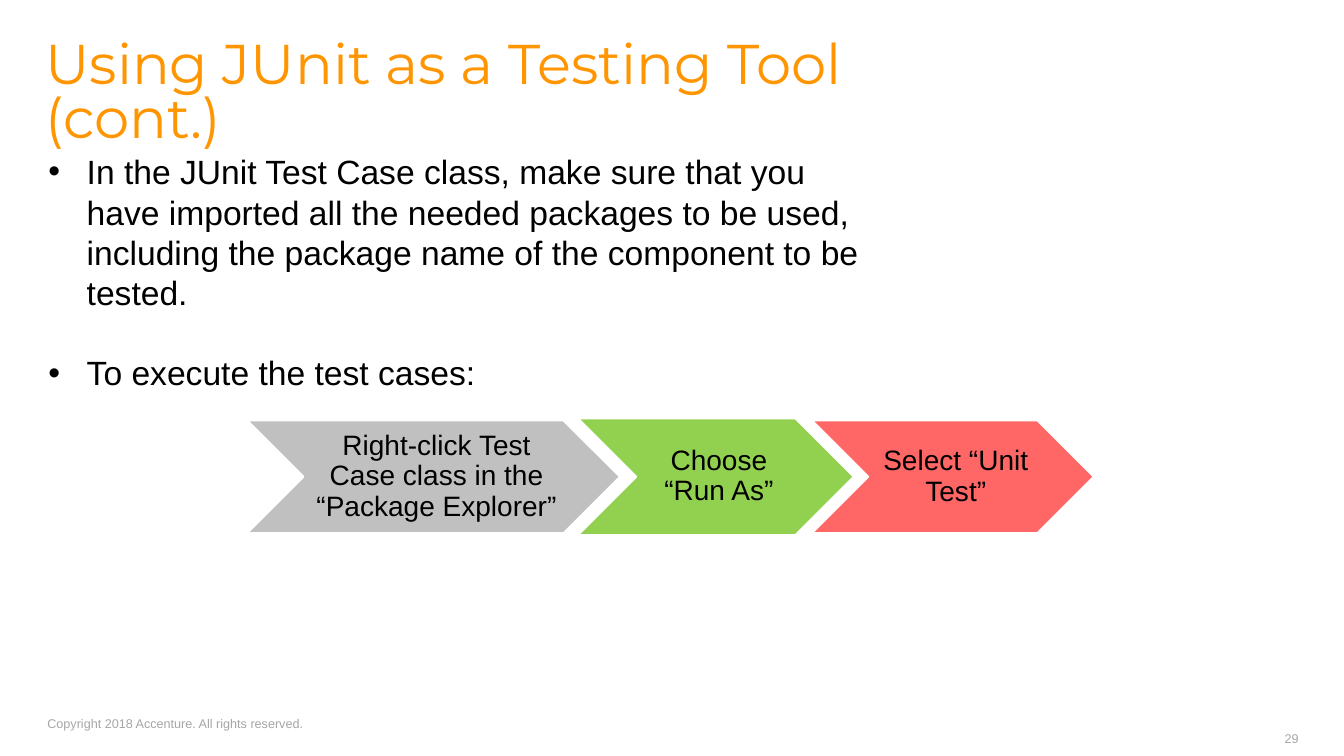
from lxml import etree
from pptx import Presentation
from pptx.dml.color import RGBColor
from pptx.enum.shapes import MSO_SHAPE
from pptx.enum.text import MSO_ANCHOR, MSO_AUTO_SIZE, PP_ALIGN
from pptx.oxml.ns import qn
from pptx.util import Inches, Pt

CHEVRON = MSO_SHAPE.CHEVRON
TOP, MIDDLE = MSO_ANCHOR.TOP, MSO_ANCHOR.MIDDLE
LEFT, CENTER, RIGHT = PP_ALIGN.LEFT, PP_ALIGN.CENTER, PP_ALIGN.RIGHT
NO_FIT = MSO_AUTO_SIZE.NONE
TITLE_ONLY = 5

BLACK, GRAY, ORANGE, WHITE = "000000", "A6A6A6", "FF9500", "FFFFFF"
BULLET_INDENT = 0.38

POINTS = [
    "In the JUnit Test Case class, make sure that you have imported all the "
    "needed packages to be used, including the package name of the component "
    "to be tested.",
    "To execute the test cases:",
]
STEPS = [
    ("Right-click Test Case class in the “Package Explorer”", 3.7, 1.12, "C0C0C0"),
    ("Choose “Run As”", 2.74, 1.16, "92D050"),
    ("Select “Unit Test”", 2.8, 1.12, "FF6666"),
]


def color(hex_value):
    """Turn a hex string into a colour."""
    return RGBColor.from_string(hex_value)


def add_bullet(paragraph):
    """Give a paragraph a hanging bullet."""
    properties = paragraph._p.get_or_add_pPr()
    properties.set("marL", str(Inches(BULLET_INDENT)))
    properties.set("indent", str(-Inches(BULLET_INDENT)))
    etree.SubElement(properties, qn("a:buFont")).set("typeface", "Arial")
    etree.SubElement(properties, qn("a:buChar")).set("char", "•")


def write(frame, *texts, size, fill=BLACK, font="Arial", align=LEFT, anchor=TOP,
          insets=(0, 0, 0, 0), wrap=True, spacing=None, gap=0, bullets=False):
    """Fill a text frame with one paragraph per text."""
    frame.word_wrap = wrap
    frame.auto_size = NO_FIT
    frame.vertical_anchor = anchor
    (frame.margin_left, frame.margin_top,
     frame.margin_right, frame.margin_bottom) = map(Inches, insets)
    for index, text in enumerate(texts):
        paragraph = frame.add_paragraph() if index else frame.paragraphs[0]
        if bullets:
            add_bullet(paragraph)
        paragraph.text = text
        paragraph.alignment = align
        if spacing:
            paragraph.line_spacing = spacing
        if index:
            paragraph.space_before = Pt(gap)
        paragraph.font.size = Pt(size)
        paragraph.font.name = font
        paragraph.font.color.rgb = color(fill)


def add_text(slide, box, *texts, **text_format):
    """Add a text box in the given box."""
    frame = slide.shapes.add_textbox(*map(Inches, box)).text_frame
    write(frame, *texts, **text_format)


def add_title(slide, box, text):
    """Place the title placeholder and write the title."""
    title = slide.shapes.title
    title.left, title.top, title.width, title.height = map(Inches, box)
    write(title.text_frame, text, size=40, fill=ORANGE, font="Montserrat", spacing=0.8)


def add_steps(slide, left, middle, overlap=0.42):
    """Draw the chevrons in a row, centred on one height."""
    for text, width, height, fill in STEPS:
        box = (left, middle - height / 2, width, height)
        step = slide.shapes.add_shape(CHEVRON, *map(Inches, box))
        step.shadow.inherit = False
        step.fill.solid()
        step.fill.fore_color.rgb = color(fill)
        step.line.color.rgb = color(WHITE)
        step.line.width = Pt(1.5)
        write(step.text_frame, text, size=20, align=CENTER, anchor=MIDDLE,
              insets=(0.09, 0.03, 0.03, 0.03), spacing=0.9)
        left += width - overlap


def add_footer(slide, left, top, right):
    """Write the copyright line and the slide number."""
    add_text(slide, (left, top, 2.57, 0.25),
             "Copyright 2018 Accenture. All rights reserved.",
             size=9, fill=GRAY, insets=(0, 0.05, 0, 0.05), wrap=False)
    add_text(slide, (right - 3, top + 0.15, 3, 0.25), "29", size=9, fill=GRAY,
             align=RIGHT, insets=(0.1, 0.05, 0.1, 0.05))


def main():
    """Build and save the slide."""
    presentation = Presentation()
    presentation.slide_width = Inches(13.33)
    presentation.slide_height = Inches(7.5)
    slide = presentation.slides.add_slide(presentation.slide_layouts[TITLE_ONLY])
    add_title(slide, (0.45, 0.41, 8.32, 1.09), "Using JUnit as a Testing Tool (cont.)")
    add_text(slide, (0.48, 1.5, 8.32, 5.12), *POINTS, size=24, gap=28.5, bullets=True)
    add_steps(slide, 2.45, 4.73)
    add_footer(slide, 0.47, 7.05, 12.98)
    presentation.save("out.pptx")


if __name__ == "__main__":
    main()
